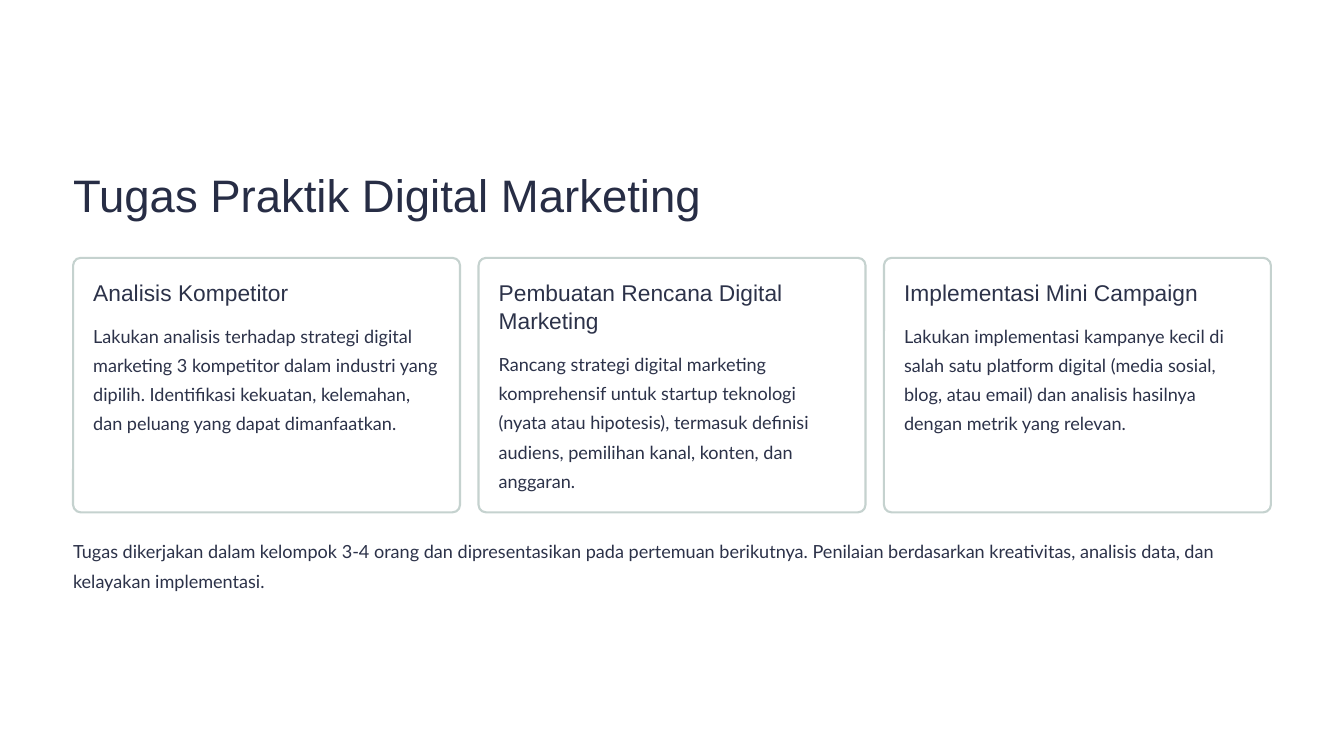
from dataclasses import dataclass

from pptx import Presentation
from pptx.dml.color import RGBColor
from pptx.enum.shapes import MSO_SHAPE as Shape
from pptx.util import Inches, Pt


@dataclass(frozen=True)
class TextStyle:
    """Font, size, line spacing and colour of one kind of text."""
    font: str
    size: float
    spacing: float
    color: RGBColor


@dataclass(frozen=True)
class Theme:
    """Colours and type styles of the slide."""
    paper = RGBColor.from_string("FFFFFF")
    border = RGBColor.from_string("C5D2CF")
    border_width = 1.8
    title = TextStyle("Arial", 39, 48.5, RGBColor.from_string("272D45"))
    heading = TextStyle("Arial", 19.5, 24, RGBColor.from_string("2C3249"))
    body = TextStyle("Lato", 15.5, 25, RGBColor.from_string("2C3249"))


THEME = Theme()
TITLE = "Tugas Praktik Digital Marketing"
TASKS = [
    ("Analisis Kompetitor", 1,
     "Lakukan analisis terhadap strategi digital marketing 3 kompetitor dalam "
     "industri yang dipilih. Identifikasi kekuatan, kelemahan, dan peluang "
     "yang dapat dimanfaatkan."),
    ("Pembuatan Rencana Digital Marketing", 2,
     "Rancang strategi digital marketing komprehensif untuk startup teknologi "
     "(nyata atau hipotesis), termasuk definisi audiens, pemilihan kanal, "
     "konten, dan anggaran."),
    ("Implementasi Mini Campaign", 1,
     "Lakukan implementasi kampanye kecil di salah satu platform digital "
     "(media sosial, blog, atau email) dan analisis hasilnya dengan metrik "
     "yang relevan."),
]
GROUP_NOTE = (
    "Tugas dikerjakan dalam kelompok 3-4 orang dan dipresentasikan pada "
    "pertemuan berikutnya. Penilaian berdasarkan kreativitas, analisis data, "
    "dan kelayakan implementasi.")


def add_text(slide, text, style, left, top, width, height):
    """Place one wrapped paragraph without insets."""
    frame = slide.shapes.add_textbox(
        Inches(left), Inches(top), Inches(width), Inches(height)).text_frame
    frame.word_wrap = True
    frame.margin_left = frame.margin_right = 0
    frame.margin_top = frame.margin_bottom = 0
    paragraph = frame.paragraphs[0]
    paragraph.text = text
    paragraph.line_spacing = Pt(style.spacing)
    paragraph.font.name = style.font
    paragraph.font.size = Pt(style.size)
    paragraph.font.color.rgb = style.color


def add_task_card(slide, task, left, top, width, height):
    """Draw a bordered card with a heading above its description."""
    heading, heading_lines, description = task
    card = slide.shapes.add_shape(
        Shape.ROUNDED_RECTANGLE,
        Inches(left), Inches(top), Inches(width), Inches(height))
    card.adjustments[0] = 0.03
    card.shadow.inherit = False
    card.fill.solid()
    card.fill.fore_color.rgb = THEME.paper
    card.line.color.rgb = THEME.border
    card.line.width = Pt(THEME.border_width)

    padding, line_height, gap = 0.24, 0.34, 0.13
    text_left, text_top = left + padding, top + padding
    text_width = width - 2 * padding
    heading_height = heading_lines * line_height
    add_text(slide, heading, THEME.heading,
             text_left, text_top, text_width, heading_height)
    description_top = text_top + heading_height + gap
    add_text(slide, description, THEME.body, text_left, description_top,
             text_width, top + height - padding - description_top)


def add_task_row(slide, tasks, left, top, width, height):
    """Lay out equal task cards side by side."""
    gap = 0.22
    card_width = (width - gap * (len(tasks) - 1)) / len(tasks)
    for index, task in enumerate(tasks):
        add_task_card(slide, task, left + index * (card_width + gap), top,
                      card_width, height)


def add_assignment_slide(deck, left, width):
    """Build the assignment slide within the given column."""
    slide = deck.slides.add_slide(deck.slide_layouts[6])
    slide.background.fill.solid()
    slide.background.fill.fore_color.rgb = THEME.paper
    add_text(slide, TITLE, THEME.title, left, 1.96, width, 0.68)
    add_task_row(slide, TASKS, left, 3.07, width, 3.03)
    add_text(slide, GROUP_NOTE, THEME.body, left, 6.35, width, 0.69)


def main():
    """Create and save the deck."""
    deck = Presentation()
    deck.slide_width, deck.slide_height = Inches(16), Inches(9)
    add_assignment_slide(deck, 0.87, 14.26)
    deck.save("out.pptx")


if __name__ == "__main__":
    main()
